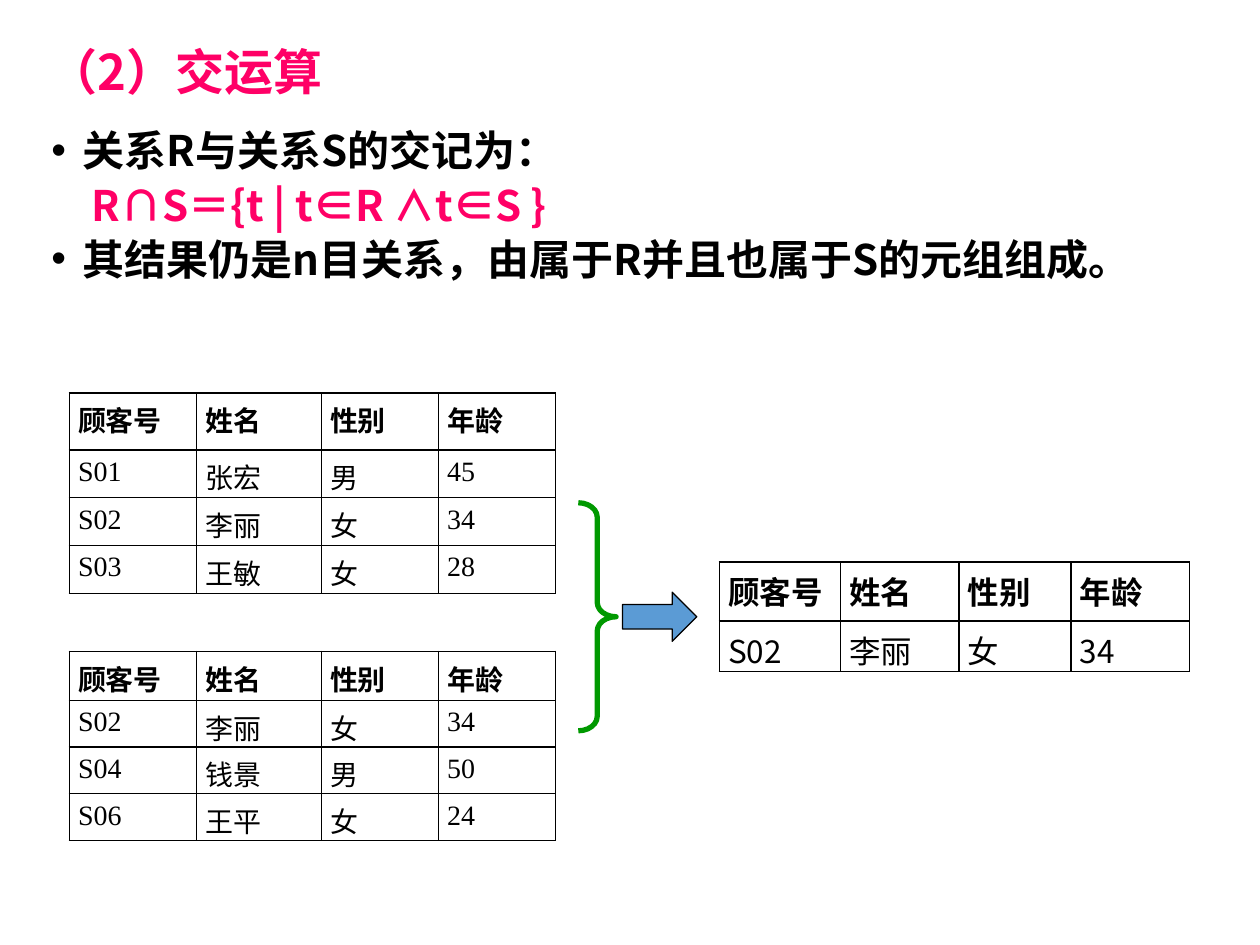
from lxml import etree
from pptx import Presentation
from pptx.dml.color import RGBColor
from pptx.enum import shapes, text
from pptx.oxml import ns
from pptx.util import Inches, Pt

PINK = RGBColor(0xFF, 0x00, 0x66)
BLACK = RGBColor(0, 0, 0)
GREEN = RGBColor(0x00, 0x99, 0x00)
BLUE = RGBColor(0x5B, 0x9B, 0xD5)
SANS = "Noto Sans CJK SC"
KOREAN = "Noto Sans CJK KR"
SERIF = "Times New Roman"

HEAD = ["顾客号", "姓名", "性别", "年龄"]
LEFT_R = [["S01", "张宏", "男", "45"],
          ["S02", "李丽", "女", "34"],
          ["S03", "王敏", "女", "28"]]
LEFT_S = [["S02", "李丽", "女", "34"],
          ["S04", "钱景", "男", "50"],
          ["S06", "王平", "女", "24"]]
BOTH = [["S02", "李丽", "女", "34"]]
WIDE = [1.01, 0.99, 0.93, 0.93]


def add_run(para, words, size, color=BLACK, bold=True, face=SANS):
    run = para.add_run()
    run.text = words
    font = run.font
    font.size, font.bold, font.name = Pt(size), bold, face
    font.color.rgb = color
    east = etree.SubElement(run._r.get_or_add_rPr(), ns.qn("a:ea"))
    east.set("typeface", SANS)


def indent(para, left, first):
    props = para._p.get_or_add_pPr()
    props.set("marL", str(Inches(left)))
    props.set("indent", str(Inches(first)))
    return props


def add_box(slide, left, top, width, height):
    box = slide.shapes.add_textbox(
        Inches(left), Inches(top), Inches(width), Inches(height))
    box.text_frame.word_wrap = True
    return box.text_frame


def add_title(slide):
    frame = add_box(slide, 0.29, 0.21, 10.06, 0.77)
    frame.vertical_anchor = text.MSO_ANCHOR.MIDDLE
    para = frame.paragraphs[0]
    para.line_spacing = 0.9
    add_run(para, "（2）交运算", 28, PINK)


def add_body(slide):
    frame = add_box(slide, 0.31, 1.02, 9.28, 1.55)
    lines = [("关系R与关系S的交记为：", BLACK, True),
             ("R∩S＝{t | t∈R ∧t∈S }", PINK, False),
             ("其结果仍是n目关系，由属于R并且也属于S的元组组成。", BLACK, True)]
    for i, (words, color, dot) in enumerate(lines):
        para = frame.add_paragraph() if i else frame.paragraphs[0]
        para.line_spacing = 0.8
        para.space_before = Pt(8)
        if dot:
            props = indent(para, 0.25, -0.25)
            font = etree.SubElement(props, ns.qn("a:buFont"))
            font.set("typeface", "Arial")
            etree.SubElement(props, ns.qn("a:buChar")).set("char", "•")
        else:
            indent(para, 0.32, 0)
        add_run(para, words, 24, color)


def add_edges(cell):
    """Draw a thin black line on all four sides of a cell."""
    props = cell._tc.get_or_add_tcPr()
    for i, side in enumerate(("lnL", "lnR", "lnT", "lnB")):
        line = etree.Element(ns.qn("a:" + side), w=str(Pt(1)))
        fill = etree.SubElement(line, ns.qn("a:solidFill"))
        etree.SubElement(fill, ns.qn("a:srgbClr")).set("val", str(BLACK))
        props.insert(i, line)


def add_grid(slide, left, top, cols, rows, data, size, digits=SERIF):
    """Add a table; digits is the face of the numbers below the head."""
    grid = slide.shapes.add_table(
        len(rows), len(cols), Inches(left), Inches(top),
        Inches(sum(cols)), Inches(sum(rows))).table
    grid.first_row = grid.horz_banding = False
    for col, width in zip(grid.columns, cols):
        col.width = Inches(width)
    for r, (height, words) in enumerate(zip(rows, [HEAD] + data)):
        grid.rows[r].height = Inches(height)
        for c, word in enumerate(words):
            cell = grid.cell(r, c)
            cell.margin_left = cell.margin_right = Inches(0.07)
            cell.margin_top = cell.margin_bottom = Inches(0.05)
            cell.fill.background()
            add_edges(cell)
            para = cell.text_frame.paragraphs[0]
            indent(para, 0.38, -0.38)
            face = digits if word.isascii() else SERIF
            add_run(para, word, size, bold=r == 0, face=face)


def add_sign(slide, kind, left, top, width, height, line, weight, fill=None):
    sign = slide.shapes.add_shape(
        kind, Inches(left), Inches(top), Inches(width), Inches(height))
    sign.shadow.inherit = False
    sign.line.color.rgb = line
    sign.line.width = Pt(weight)
    if fill is None:
        sign.fill.background()
    else:
        sign.fill.solid()
        sign.fill.fore_color.rgb = fill
    return sign


def main():
    deck = Presentation()
    deck.slide_width, deck.slide_height = Inches(10), Inches(7.5)
    slide = deck.slides.add_slide(deck.slide_layouts[6])
    add_title(slide)
    add_body(slide)
    add_grid(slide, 0.55, 3.12, WIDE, [0.45] + [0.38] * 3, LEFT_R, 16)
    add_grid(slide, 0.55, 5.17, WIDE, [0.39] + [0.37] * 3, LEFT_S, 16)
    kind = shapes.MSO_SHAPE
    brace = add_sign(slide, kind.RIGHT_BRACE, 4.59, 3.99, 0.3, 1.81, GREEN, 3)
    brace.adjustments[0] = 0.38
    add_sign(slide, kind.RIGHT_ARROW, 4.94, 4.7, 0.59, 0.39, BLACK, 0.75, BLUE)
    add_grid(slide, 5.71, 4.46, [0.96, 0.94, 0.89, 0.94], [0.47, 0.4],
             BOTH, 18, KOREAN)
    deck.save("out.pptx")


if __name__ == "__main__":
    main()
